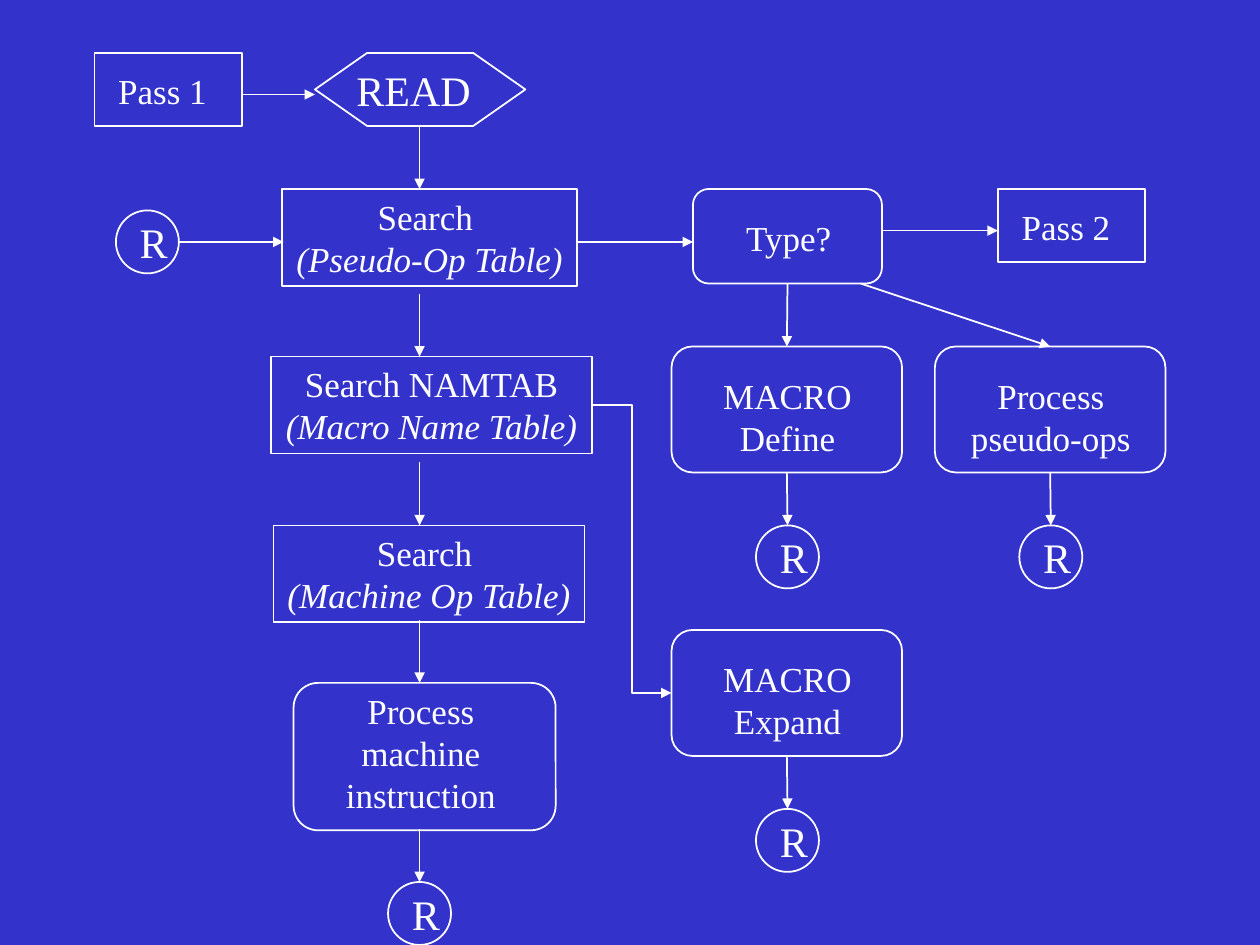
from dataclasses import dataclass

from lxml import etree
from pptx import Presentation
from pptx.dml.color import RGBColor
from pptx.enum.shapes import MSO_CONNECTOR, MSO_SHAPE
from pptx.enum.text import MSO_ANCHOR, PP_ALIGN
from pptx.oxml.ns import qn
from pptx.util import Inches, Pt

RECT, ROUND = MSO_SHAPE.RECTANGLE, MSO_SHAPE.ROUNDED_RECTANGLE
OVAL, HEXAGON = MSO_SHAPE.OVAL, MSO_SHAPE.HEXAGON
STRAIGHT, ELBOW = MSO_CONNECTOR.STRAIGHT, MSO_CONNECTOR.ELBOW
LEFT, CENTER = PP_ALIGN.LEFT, PP_ALIGN.CENTER
TOP_SITE, LEFT_SITE, BOTTOM_SITE, RIGHT_SITE = range(4)


@dataclass(frozen=True)
class Theme:
    background: RGBColor = RGBColor(0x33, 0x33, 0xCC)
    ink: RGBColor = RGBColor(0xFF, 0xFF, 0xFF)
    font: str = "Times New Roman"
    body: Pt = Pt(20)
    large: Pt = Pt(24)
    line: Pt = Pt(1)


THEME = Theme()


def write(shape, lines, size=THEME.body, align=CENTER, wrap=True, italic_from=None):
    tf = shape.text_frame
    tf.word_wrap = wrap
    tf.vertical_anchor = MSO_ANCHOR.TOP
    for i, line in enumerate(lines):
        p = tf.paragraphs[0] if i == 0 else tf.add_paragraph()
        p.text = line
        p.alignment = align
        p.font.name, p.font.size = THEME.font, size
        p.font.color.rgb = THEME.ink
        if italic_from is not None and i >= italic_from:
            p.font.italic = True


def outline(s, kind, x, y, w, h):
    sp = s.shapes.add_shape(kind, Inches(x), Inches(y), Inches(w), Inches(h))
    sp.shadow.inherit = False
    sp.fill.background()
    sp.line.color.rgb = THEME.ink
    sp.line.width = THEME.line
    return sp


def label(s, lines, x, y, w, h, **style):
    tb = s.shapes.add_textbox(Inches(x), Inches(y), Inches(w), Inches(h))
    write(tb, lines, **style)


def arrow(s, start, end, begin=None, finish=None, kind=STRAIGHT):
    """Draw an arrow; begin and finish are optional (shape, site) pairs."""
    c = s.shapes.add_connector(kind, *(Inches(v) for v in (*start, *end)))
    if begin:
        c.begin_connect(*begin)
    if finish:
        c.end_connect(*finish)
    c.line.color.rgb = THEME.ink
    c.line.width = THEME.line
    etree.SubElement(c.line._get_or_add_ln(), qn("a:tailEnd"), type="triangle")
    etree.SubElement(c._element.spPr, qn("a:effectLst"))


def return_node(s, x, y):
    sp = outline(s, OVAL, x, y, 0.5, 0.5)
    label(s, ["R"], x + 0.09, y, 0.42, 0.5, size=THEME.large, align=LEFT, wrap=False)
    return sp


def search_box(s, lines, x, y, w):
    sp = outline(s, RECT, x, y, w, 0.77)
    write(sp, lines, wrap=False, italic_from=1)
    return sp


def pass_box(s, text, x, y, label_dy):
    outline(s, RECT, x, y, 1.17, 0.58)
    label(s, [text], x, y + label_dy, 1.08, 0.44)


def macro_branch(s, lines, x, y):
    """Process box with an arrow down to its return node."""
    sp = outline(s, ROUND, x, y, 1.83, 1)
    label(s, lines, x + 0.08, y + 0.17, 1.68, 0.77)
    node = return_node(s, x + 0.67, y + 1.42)
    mid = x + 0.92
    arrow(s, (mid, y + 1), (mid, y + 1.42), (sp, BOTTOM_SITE), (node, TOP_SITE))
    return sp


def main_column(s, axis):
    """Read, search and process steps running down the axis; returns the NAMTAB box."""
    hexagon = outline(s, HEXAGON, 2.5, 0.42, 1.67, 0.58)
    hexagon.adjustments[0] = 0.714
    label(s, ["READ"], 2.73, 0.46, 1.11, 0.5, size=THEME.large, align=LEFT, wrap=False)

    search_box(s, ["Search ", "(Pseudo-Op Table)"], 2.24, 1.5, 2.34)
    namtab = search_box(s, ["Search NAMTAB", "(Macro Name Table)"], 2.15, 2.83, 2.55)
    search_box(s, ["Search ", "(Machine Op Table)"], 2.17, 4.17, 2.47)

    outline(s, ROUND, 2.33, 5.42, 2.08, 1.17)
    label(s, ["Process machine instruction"], 2.5, 5.42, 1.68, 1.1)
    return_node(s, axis - 0.25, 7)

    for top, bottom in ((1, 1.5), (2.33, 2.83), (3.67, 4.17), (4.92, 5.42), (6.58, 7)):
        arrow(s, (axis, top), (axis, bottom))
    return namtab


def entry_points(s):
    """Pass 1 and the return node, both leading into the main column."""
    pass_box(s, "Pass 1", 0.75, 0.42, 0.08)
    arrow(s, (1.92, 0.75), (2.5, 0.75))
    return_node(s, 0.92, 1.67)
    arrow(s, (1.42, 1.92), (2.25, 1.92))


def type_branches(s, namtab):
    """Type decision with its three outcomes, and macro expansion below."""
    decision = outline(s, ROUND, 5.5, 1.5, 1.5, 0.75)
    label(s, ["Type?"], 5.42, 1.67, 1.68, 0.44)
    arrow(s, (4.58, 1.92), (5.5, 1.92))

    pass_box(s, "Pass 2", 7.92, 1.5, 0.08)
    arrow(s, (7, 1.83), (7.92, 1.83))

    define = macro_branch(s, ["MACRO", "Define"], 5.33, 2.75)
    pseudo = macro_branch(s, ["Process", "pseudo-ops"], 7.42, 2.75)
    expand = macro_branch(s, ["MACRO", "Expand"], 5.33, 5)
    arrow(s, (6.25, 2.25), (6.25, 2.75), (decision, BOTTOM_SITE), (define, TOP_SITE))
    arrow(s, (6.83, 2.25), (8.33, 2.75), finish=(pseudo, TOP_SITE))
    arrow(s, (4.7, 3.22), (5.33, 5.5), (namtab, RIGHT_SITE), (expand, LEFT_SITE), ELBOW)


def main():
    prs = Presentation()
    prs.slide_width, prs.slide_height = Inches(10), Inches(7.5)
    s = prs.slides.add_slide(prs.slide_layouts[6])
    s.background.fill.solid()
    s.background.fill.fore_color.rgb = THEME.background

    namtab = main_column(s, 3.33)
    entry_points(s)
    type_branches(s, namtab)
    prs.save("out.pptx")


if __name__ == "__main__":
    main()
